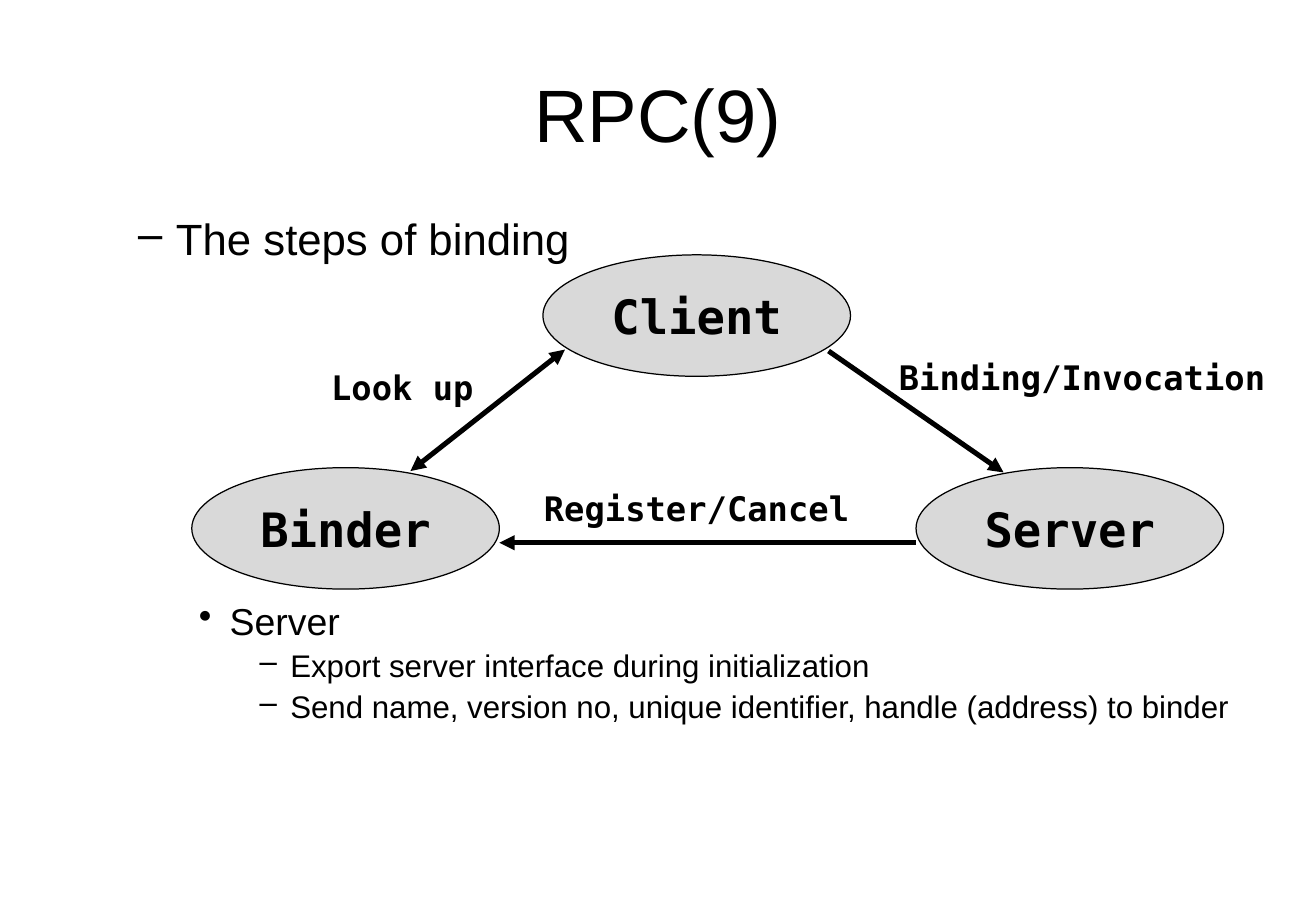
import pptx
import pptx.dml.color
import pptx.enum.shapes
import pptx.enum.text
import pptx.oxml
import pptx.oxml.ns
import pptx.util

Cm = pptx.util.Cm
Pt = pptx.util.Pt
qn = pptx.oxml.ns.qn
RGB = pptx.dml.color.RGBColor.from_string
ALIGN = pptx.enum.text.PP_ALIGN
ANCHOR = pptx.enum.text.MSO_ANCHOR
SHAPE = pptx.enum.shapes.MSO_SHAPE
STRAIGHT = pptx.enum.shapes.MSO_CONNECTOR.STRAIGHT

COLORS = {"ink": "000000", "node": "D9D9D9"}
MONO = "DejaVu Sans Mono"
TITLE = {"name": "Arial", "size": Pt(44)}
NODE = {"name": MONO, "size": Pt(28), "bold": True}
LABEL = {"name": MONO, "size": Pt(20), "bold": True}
LEVELS = {
    1: {"bullet": "–", "size": 25.9, "margin": 2.06, "hang": 0.79},
    2: {"bullet": "•", "size": 22.2, "margin": 3.18, "hang": 0.64},
    3: {"bullet": "–", "size": 18.5, "margin": 4.45, "hang": 0.64},
}
OUTLINE = [
    (1, "The steps of binding", 0),
    (2, "Server", 201),
    (3, "Export server interface during initialization", 4.5),
    (3, "Send name, version no, unique identifier, handle (address) to binder", 4.5),
]


def apply(obj, values):
    for key, value in values.items():
        setattr(obj, key, value)


def add_run(p, text, font):
    r = p.add_run()
    r.text = text
    apply(r.font, font)
    r.font.color.rgb = RGB(COLORS["ink"])


def add_element(parent, tag, **attributes):
    element = parent.makeelement(qn(tag), attributes)
    parent.append(element)


def add_text(s, box, text, font, align=ALIGN.LEFT, anchor=ANCHOR.TOP):
    tf = s.shapes.add_textbox(*map(Cm, box)).text_frame
    apply(tf, {"word_wrap": True, "vertical_anchor": anchor})
    p = tf.paragraphs[0]
    p.alignment = align
    add_run(p, text, font)


def add_title(s, box):
    add_text(s, box, "RPC(9)", TITLE, ALIGN.CENTER, ANCHOR.MIDDLE)


def add_outline(s, box):
    tf = s.shapes.add_textbox(*map(Cm, box)).text_frame
    tf.word_wrap = True
    for i, (level, text, before) in enumerate(OUTLINE):
        p = tf.add_paragraph() if i else tf.paragraphs[0]
        style = LEVELS[level]
        apply(p, {"level": level, "line_spacing": 0.88, "space_before": Pt(before)})
        pPr = p._p.get_or_add_pPr()
        pPr.set("marL", str(Cm(style["margin"])))
        pPr.set("indent", str(-Cm(style["hang"])))
        add_element(pPr, "a:buChar", char=style["bullet"])
        add_run(p, text, {"name": "Arial", "size": Pt(style["size"])})


def add_node(s, box, text):
    sp = s.shapes.add_shape(SHAPE.OVAL, *map(Cm, box))
    sp.shadow.inherit = False
    sp.fill.solid()
    sp.fill.fore_color.rgb = RGB(COLORS["node"])
    sp.line.color.rgb = RGB(COLORS["ink"])
    sp.line.width = Pt(0.75)
    tf = sp.text_frame
    apply(tf, {"word_wrap": False, "vertical_anchor": ANCHOR.MIDDLE})
    p = tf.paragraphs[0]
    p.alignment = ALIGN.CENTER
    add_run(p, text, NODE)


def add_arrow(s, start, end, ends):
    cx = s.shapes.add_connector(STRAIGHT, *map(Cm, start + end))
    cx.line.color.rgb = RGB(COLORS["ink"])
    cx.line.width = Pt(3)
    spPr = cx._element.spPr
    for tag in ends:
        add_element(spPr.find(qn("a:ln")), tag, type="triangle")
    add_element(spPr, "a:effectLst")


def add_diagram(s, box):
    x, y, w, h = box
    node_w, node_h = 6.43, 2.54
    low = h - node_h
    for text, dx, dy in [
        ("Client", 7.34, 0),
        ("Binder", 0, low),
        ("Server", w - node_w, low),
    ]:
        add_node(s, (x + dx, y + dy, node_w, node_h), text)
    for x1, y1, x2, y2, ends in [
        (13.31, 2.01, 16.97, 4.55, ["a:tailEnd"]),
        (w - node_w, 6.02, node_w, 6.02, ["a:tailEnd"]),
        (7.8, 1.98, 4.57, 4.52, ["a:headEnd", "a:tailEnd"]),
    ]:
        add_arrow(s, (x + x1, y + y1), (x + x2, y + y2), ends)
    for text, dx, dy, width, align in [
        ("Binding/Invocation", 14.53, 2.01, 8.6, ALIGN.LEFT),
        ("Register/Cancel", 7.11, 4.75, 8.26, ALIGN.LEFT),
        ("Look up", 0.91, 2.21, 5.23, ALIGN.RIGHT),
    ]:
        add_text(s, (x + dx, y + dy, width, 1.2), text, LABEL, align)


def main():
    prs = pptx.Presentation()
    apply(prs, {"slide_width": Cm(27.51), "slide_height": Cm(19.05)})
    s = prs.slides.add_slide(prs.slide_layouts[6])
    add_title(s, (1.37, 0.76, 24.77, 3.18))
    add_outline(s, (1.37, 4.45, 24.77, 12.57))
    add_diagram(s, (4.01, 5.33, 21.57, 6.99))
    prs.save("out.pptx")


if __name__ == "__main__":
    main()
